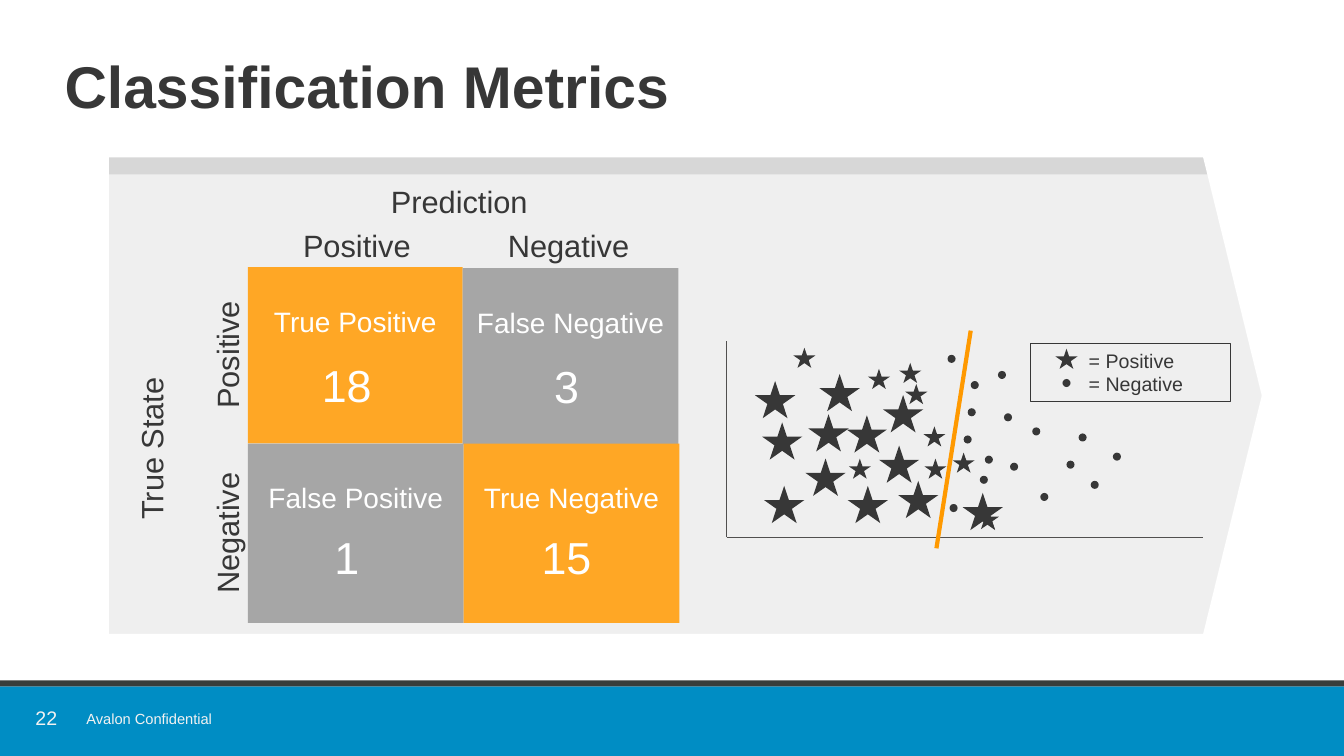
from dataclasses import dataclass
from typing import Any, Optional

from lxml import etree
from pptx import Presentation
from pptx import util as u
from pptx.dml import color
from pptx.enum import shapes, text
from pptx.oxml import ns

CELL = u.Inches(0.1)  # one column wide, one row high
COLUMNS, ROWS = 133.33, 75
SHAPE = shapes.MSO_SHAPE
LEFT, CENTER = text.PP_ALIGN.LEFT, text.PP_ALIGN.CENTER
TOP, MIDDLE = text.MSO_ANCHOR.TOP, text.MSO_ANCHOR.MIDDLE


@dataclass(frozen=True)
class Theme:
    font: str = "Arial"
    ink: str = "373737"
    white: str = "FFFFFF"
    pale: str = "F2F2F2"
    correct: str = "FFA725"
    wrong: str = "A6A6A6"
    banner: str = "D7D7D7"
    footer: str = "008DC4"
    stripe: str = "383D3B"
    axis: str = "51504F"
    boundary: str = "FF9900"
    title: float = 42
    value: float = 32
    heading: float = 22
    outcome: float = 20
    small: float = 14
    fine: float = 10.5


THEME = Theme()


@dataclass(frozen=True)
class Box:
    """Place on the grid, in columns and rows."""
    left: float
    top: float
    width: float
    height: float


@dataclass(frozen=True)
class Label:
    """Wording with its format; margins are left, top, right, bottom on the grid."""
    words: str
    size: float
    color: str = THEME.ink
    align: Any = CENTER
    anchor: Any = MIDDLE
    margins: tuple[float, ...] = (1, 0.5, 1, 0.5)
    bold: bool = False
    spacing: float = 1.0


@dataclass(frozen=True)
class Outcome:
    name: str
    value: str
    fill: str
    box: Box


@dataclass(frozen=True)
class Marker:
    kind: Any
    width: float
    height: float
    corners: tuple[tuple[float, float], ...]


OUTCOMES = (
    Outcome("True Positive", "18", THEME.correct, Box(24.6, 26.5, 21.3, 17.5)),
    Outcome("False Negative", "3", THEME.wrong, Box(45.9, 26.6, 21.4, 17.5)),
    Outcome("False Positive", "1", THEME.wrong, Box(24.6, 44, 21.4, 17.8)),
    Outcome("True Negative", "15", THEME.correct, Box(46, 44, 21.4, 17.8)),
)
MARKERS = (
    Marker(SHAPE.STAR_5_POINT, 4, 3.7, (
        (74.9, 37.8), (75.6, 41.9), (79.9, 45.5), (75.8, 48.2), (80.2, 41.1),
        (84.1, 48.2), (89.1, 47.7), (81.3, 37.1), (84, 41.2), (87.2, 44.2),
        (87.6, 39.2), (95.5, 48.9))),
    Marker(SHAPE.STAR_5_POINT, 2.2, 2, (
        (89.2, 36), (91.6, 42.3), (94.5, 44.9), (84.2, 45.5), (78.7, 34.5),
        (91.7, 45.5), (86.1, 36.6), (89.8, 38.1), (96.9, 50.5), (104.7, 34.6))),
    Marker(SHAPE.FLOWCHART_CONNECTOR, 0.8, 0.8, (
        (102.4, 42.4), (95.6, 43.2), (96, 40.5), (97.7, 45.2), (94.2, 50),
        (94, 35.2), (99, 36.8), (107, 43), (105.8, 45.7), (103.2, 48.9),
        (100.2, 45.9), (97.2, 47.2), (99.6, 41), (108.2, 47.7), (96.3, 37.8),
        (110.4, 44.9), (105.4, 37.6))),
)


def grid(*cells: float) -> list[int]:
    return [round(cell * CELL) for cell in cells]


def rgb(value: str) -> color.RGBColor:
    return color.RGBColor.from_string(value)


def apply(target: Any, values: dict[str, Any]) -> None:
    for name, value in values.items():
        setattr(target, name, value)


def place(shape: Any, box: Box) -> None:
    sides = ("left", "top", "width", "height")
    apply(shape, dict(zip(sides, grid(box.left, box.top, box.width, box.height))))


def write(shape: Any, label: Label) -> None:
    frame = shape.text_frame
    sides = ("margin_left", "margin_top", "margin_right", "margin_bottom")
    apply(frame, {"text": label.words, "word_wrap": True,
                  "auto_size": text.MSO_AUTO_SIZE.NONE,
                  "vertical_anchor": label.anchor,
                  **dict(zip(sides, grid(*label.margins)))})
    for paragraph in frame.paragraphs:
        apply(paragraph, {"alignment": label.align, "line_spacing": label.spacing})
        apply(paragraph.font, {"name": THEME.font, "size": u.Pt(label.size),
                               "bold": label.bold})
        paragraph.font.color.rgb = rgb(label.color)


def add_label(slide: Any, box: Box, label: Label, rotation: float = 0) -> None:
    shape = slide.shapes.add_textbox(*grid(box.left, box.top, box.width, box.height))
    shape.rotation = rotation
    write(shape, label)


def add_figure(slide: Any, kind: Any, box: Box, fill: Optional[str] = None,
               outline: Optional[str] = None, weight: float = 0) -> Any:
    shape = slide.shapes.add_shape(
        kind, *grid(box.left, box.top, box.width, box.height))
    shape.shadow.inherit = False
    for part, part_color in ((shape.fill, fill), (shape.line.fill, outline)):
        if part_color:
            part.solid()
            part.fore_color.rgb = rgb(part_color)
        else:
            part.background()
    if outline:
        shape.line.width = u.Pt(weight)
    return shape


def add_line(slide: Any, start: tuple[float, float], end: tuple[float, float],
             line_color: str, weight: float) -> None:
    line = slide.shapes.add_connector(
        shapes.MSO_CONNECTOR.STRAIGHT, *grid(*start, *end))
    line.line.color.rgb = rgb(line_color)
    line.line.width = u.Pt(weight)
    etree.SubElement(line._element.spPr, ns.qn("a:effectLst"))


def draw_footer(slide: Any) -> None:
    add_figure(slide, SHAPE.RECTANGLE, Box(0, 68.1, COLUMNS, 6.9), THEME.footer)
    add_figure(slide, SHAPE.RECTANGLE, Box(0, 67.5, COLUMNS, 0.6), THEME.stripe)
    add_label(slide, Box(3.3, 70.2, 2.6, 2.3),
              Label("22", THEME.small, THEME.pale, margins=(0, 0, 0, 0), spacing=0.9))
    add_label(slide, Box(7.6, 69.9, 16, 2.8),
              Label("Avalon Confidential", THEME.fine, THEME.pale, LEFT, TOP))


def draw_banner(slide: Any) -> None:
    back = add_figure(slide, SHAPE.PENTAGON, Box(10.5, 15.3, 115, 47.9),
                      THEME.banner, THEME.white, 4.5)
    back.adjustments[0] = 0.123
    veil = add_figure(slide, SHAPE.PENTAGON, Box(7, 17.3, 119.5, 45.9), THEME.white)
    veil.adjustments[0] = 0.056
    tint = veil._element.spPr.find(".//" + ns.qn("a:srgbClr"))
    etree.SubElement(tint, ns.qn("a:alpha"), val="62000")


def draw_matrix(slide: Any) -> None:
    for outcome in OUTCOMES:
        box = outcome.box
        cell = add_figure(slide, SHAPE.RECTANGLE, box, outcome.fill)
        write(cell, Label(outcome.name, THEME.outcome, THEME.white,
                          anchor=TOP, margins=(1, 3.7, 1, 0.5)))
        value_left = 30.7 if box.left < 40 else 52.5
        value_top = box.top + (8 if box.top < 40 else 7.6)
        add_label(slide, Box(value_left, value_top, 7.4, 6.4),
                  Label(outcome.value, THEME.value, THEME.white,
                        anchor=TOP, margins=(1, 1, 1, 0.5)))
    for words, column, row in (("Positive", 24.8, 31.5), ("Negative", 45.8, 49.2)):
        heading = Label(words, THEME.heading)
        add_label(slide, Box(column, 22.3, 21.2, 4.1), heading)
        add_label(slide, Box(13.6, row, 17.8, 7.4), heading, 270)
    for words, box, rotation in (("Prediction", Box(37.8, 17.3, 16.6, 4.7), 0),
                                 ("True State", Box(6.3, 41.8, 16.8, 4.7), 270)):
        add_label(slide, box, Label(words, THEME.heading, align=LEFT, anchor=TOP,
                                    margins=(1, 0.8, 1, 0.5)), rotation)


def draw_scatter(slide: Any) -> None:
    legend = add_figure(slide, SHAPE.RECTANGLE, Box(102.2, 34.1, 19.9, 5.7),
                        outline=THEME.ink, weight=0.75)
    write(legend, Label("= Positive\n= Negative", THEME.small, align=LEFT,
                        anchor=TOP, margins=(5.8, 0.5, 1, 0.5)))
    for end in ((72.1, 33.8), (119.3, 53.3)):
        add_line(slide, (72.1, 53.3), end, THEME.axis, 0.5)
    for marker in MARKERS:
        for corner in marker.corners:
            add_figure(slide, marker.kind, Box(*corner, marker.width, marker.height),
                       THEME.ink)
    add_line(slide, (96.3, 32.8), (92.9, 54.4), THEME.boundary, 3)


def main() -> None:
    presentation = Presentation()
    apply(presentation, dict(zip(("slide_width", "slide_height"),
                                 grid(COLUMNS, ROWS))))
    slide = presentation.slides.add_slide(presentation.slide_layouts[5])
    draw_footer(slide)
    place(slide.shapes.title, Box(5.4, 5.2, 115, 10.9))
    write(slide.shapes.title, Label("Classification Metrics", THEME.title, align=LEFT,
                                    anchor=TOP, bold=True, spacing=0.9))
    for draw in (draw_banner, draw_matrix, draw_scatter):
        draw(slide)
    presentation.save("out.pptx")


if __name__ == "__main__":
    main()
